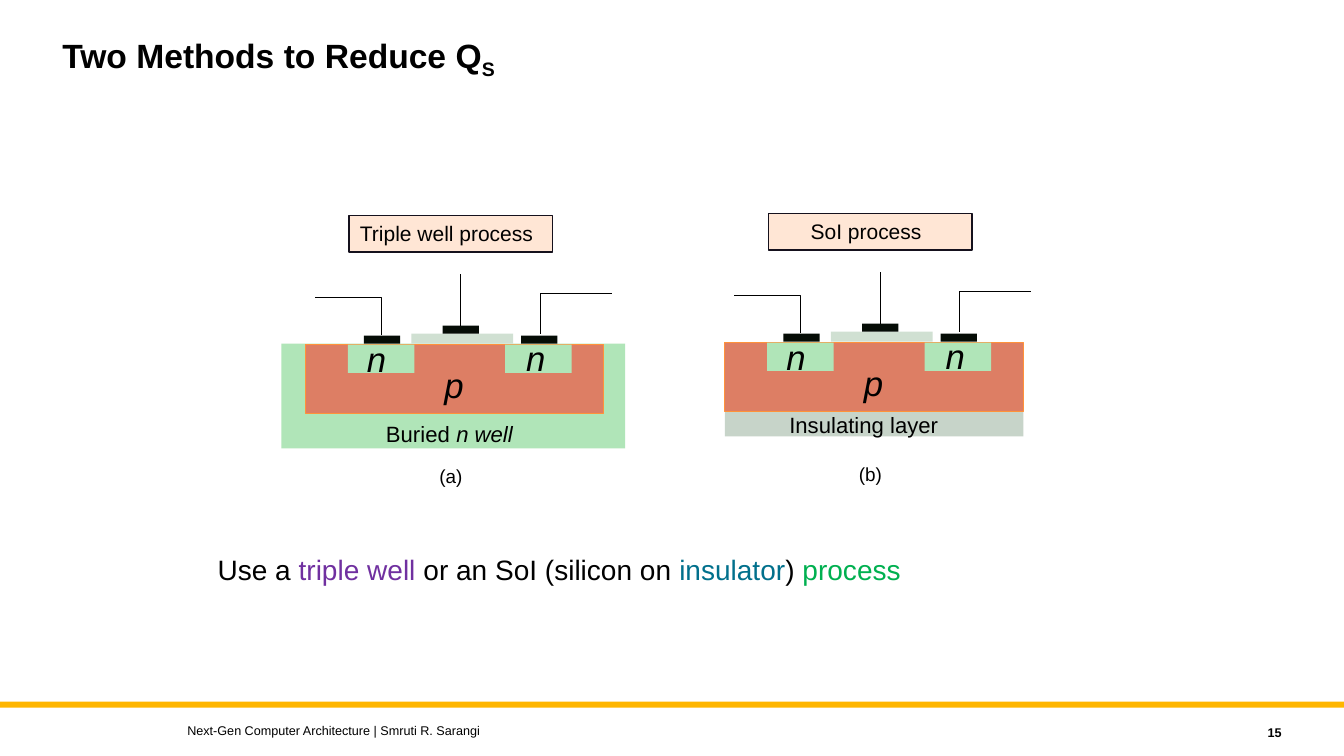
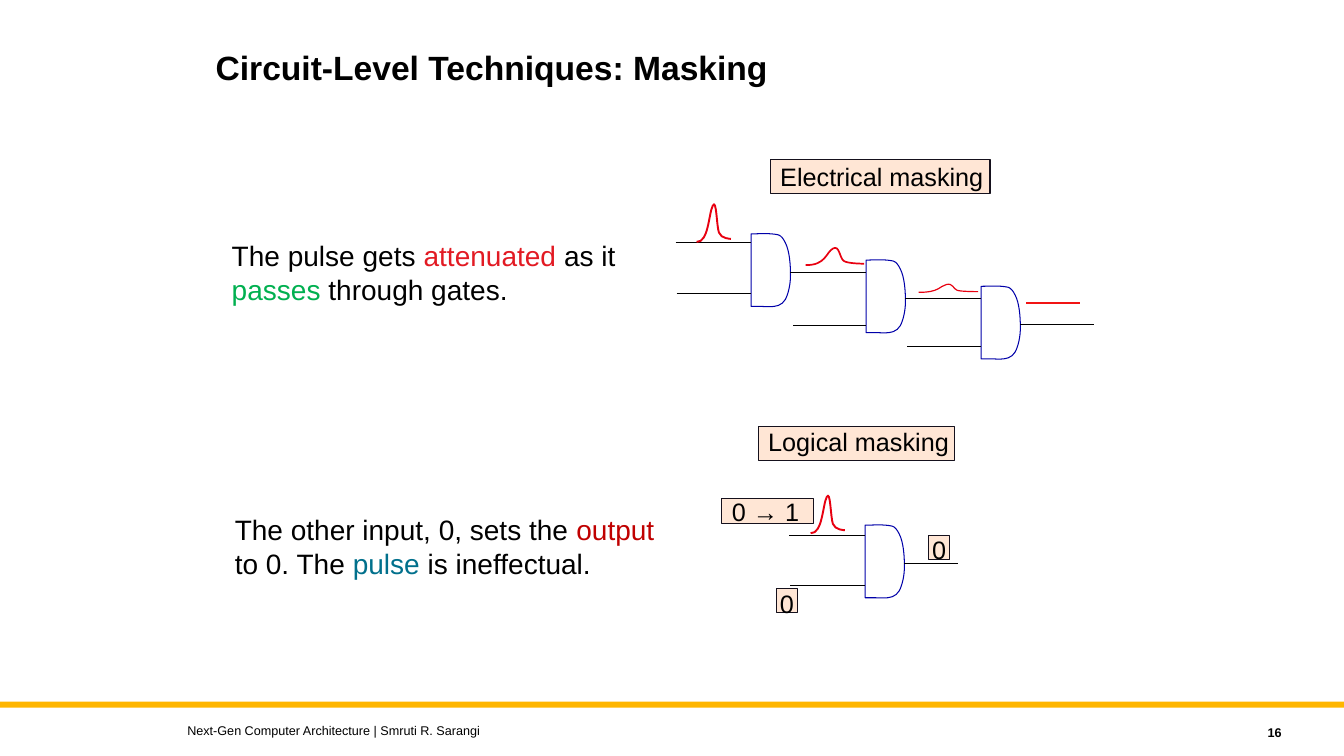
"""Build two slides on reducing critical charge effects and masking pulses in circuits."""
from lxml.etree import SubElement
from pptx import Presentation
from pptx.dml.color import RGBColor
from pptx.enum.shapes import MSO_CONNECTOR as Connector, MSO_SHAPE as Preset
from pptx.enum.text import MSO_ANCHOR as Anchor, MSO_AUTO_SIZE as AutoSize, PP_ALIGN as Align
from pptx.oxml.ns import qn
from pptx.util import Inches, Pt

FONT = "Arial"
WIDTH, HEIGHT = 13.33, 7.5
COLORS = {
    "black": "000000", "band": "FFB600", "label": "FFE6D5", "label_line": "15111D",
    "well": "B0E5B8", "body": "DD7E64", "body_line": "FF923A", "contact": "050C06",
    "oxide": "D0E0D2", "insulator": "C7D4C9", "gate": "0000A9", "pulse": "E80010",
    "flat_pulse": "F11414", "purple": "7030A0", "teal": "01708C", "green": "00B050",
    "red": "E21A23", "dark_red": "C00000",
}
FOOTER = "Next-Gen Computer Architecture | Smruti R. Sarangi"

DEVICES = [
    {"origin": (3.03, 3.41), "label": "Triple well process", "indent": 0.11, "caption": "(a)",
     "layer": (-0.24, 0, 3.41, 1.04), "layer_color": "well",
     "layer_text": ["Buried ", ("n well", {"italic": True})], "layer_text_box": (0.7, 0.71, 1.47, 0.37)},
    {"origin": (7.19, 3.39), "label": "SoI process", "indent": 0.42, "caption": "(b)",
     "layer": (0, 0.69, 2.96, 0.25), "layer_color": "insulator",
     "layer_text": ["Insulating layer"], "layer_text_box": (0.54, 0.64, 1.69, 0.37)},
]
DEVICE_PARTS = [
    ((0.42, 0.01, 0.66, 0.28), "well"), ((1.98, 0.01, 0.66, 0.28), "well"),
    ((0.58, -0.08, 0.36, 0.08), "contact"), ((2.14, -0.08, 0.36, 0.08), "contact"),
    ((1.05, -0.1, 1.01, 0.1), "oxide"),
]
DEVICE_LETTERS = [("n", 0.51, -0.11), ("n", 2.09, -0.12), ("p", 1.28, 0.15)]
DEVICE_WIRES = [
    [(0.75, -0.09), (0.75, -0.46), (0.09, -0.46)],
    [(2.33, -0.1), (2.33, -0.5), (3.04, -0.5)],
]
PROCESS_TEXT = [[
    "Use a ", ("triple well ", {"color": "purple"}), "or an SoI (silicon on ",
    ("insulator", {"color": "teal"}), ") ", ("process", {"color": "green"}),
]]

GATE_CURVE = [
    (0, 0), (0.09, 0), (0.18, -0.01), (0.27, 0.01), (0.3, 0.02), (0.32, 0.05), (0.34, 0.09),
    (0.38, 0.17), (0.39, 0.3), (0.39, 0.41), (0.39, 0.5), (0.37, 0.59), (0.34, 0.65),
    (0.32, 0.68), (0.3, 0.7), (0.27, 0.71), (0.21, 0.73), (0.16, 0.72), (0.1, 0.72),
    (0.07, 0.72), (0.03, 0.72), (0, 0.72),
]
PULSE_CURVE = [
    (0, 1), (0.35, 1.02), (0.35, 0.24), (0.47, 0.03), (0.58, -0.18), (0.58, 0.57),
    (0.65, 0.75), (0.71, 0.92), (1, 0.92), (1, 0.92),
]
GATES = [
    (7.45, 2.32, [(0.09, 0.75), (0.59, 0.74)], 0),
    (8.59, 2.58, [(0.12, 0.75), (0.65, 0.72)], 0),
    (9.73, 2.84, [(0.12, 0.75), (0.6, 0.73)], 0.73),
    (8.58, 5.21, [(0.1, 0.75), (0.6, 0.74)], 0.53),
]
PULSES = [
    (6.91, 2.03, 0.34, 0.37, 1.36), (7.99, 2.46, 0.58, 0.17, 1.22),
    (9.11, 2.82, 0.59, 0.08, 0.84), (8.04, 4.92, 0.34, 0.37, 1.36),
]
FLAT_PULSE = [(10.18, 3.01), (10.71, 3.01)]
MASKING_LABELS = [
    ("Electrical masking", (7.64, 1.58, 2.18, 0.34), 1.02, 0),
    ("Logical masking", (7.52, 4.23, 1.95, 0.34), 0.97, 0.04),
    ("0 → 1", (7.16, 4.95, 0.91, 0.24), 0.77, 0),
]
ZERO_LABELS = [((7.7, 5.84, 0.21, 0.24), 0.54), ((9.21, 5.31, 0.21, 0.24), 0.77)]
MASKING_TEXTS = [
    ((2.2, 2.32, 4.11, 0.77), [
        ["The pulse gets ", ("attenuated", {"color": "red"}), " as it"],
        [("passes", {"color": "green"}), " through gates."],
    ]),
    ((2.23, 5.04, 4.39, 0.77), [
        ["The other input, 0, sets the ", ("output", {"color": "dark_red"})],
        ["to 0. The ", ("pulse", {"color": "teal"}), " is ineffectual."],
    ]),
]


def rgb(name):
    return RGBColor.from_string(COLORS[name])


def shifted(box, origin):
    return (box[0] + origin[0], box[1] + origin[1], *box[2:])


def write_text(frame, paragraphs, size, bold=False, italic=False, align=Align.LEFT, spacing=None):
    for index, runs in enumerate(paragraphs):
        paragraph = frame.add_paragraph() if index else frame.paragraphs[0]
        paragraph.alignment = align
        paragraph.line_spacing = spacing
        for item in runs:
            text, style = (item, {}) if isinstance(item, str) else item
            run = paragraph.add_run()
            run.text = text
            run.font.name, run.font.size = FONT, Pt(size)
            run.font.bold, run.font.italic = bold, style.get("italic", italic)
            run.font.color.rgb = rgb(style.get("color", "black"))
            if "baseline" in style:
                run.font._element.set("baseline", str(style["baseline"] * 1000))


def add_text(slide, box, paragraphs, size, wrap=False, anchor=Anchor.TOP, **style):
    frame = slide.shapes.add_textbox(*map(Inches, box)).text_frame
    frame.word_wrap, frame.vertical_anchor = wrap, anchor
    frame.auto_size = AutoSize.NONE if wrap else AutoSize.SHAPE_TO_FIT_TEXT
    write_text(frame, paragraphs, size, **style)


def paint_line(shape, color, width):
    shape.line.color.rgb = rgb(color)
    shape.line.width = Pt(width)


def add_rectangle(slide, box, fill, line=None, width=1):
    shape = slide.shapes.add_shape(Preset.RECTANGLE, *map(Inches, box))
    shape.shadow.inherit = False
    shape.fill.solid()
    shape.fill.fore_color.rgb = rgb(fill)
    if line:
        paint_line(shape, line, width)
    else:
        shape.line.fill.background()
    return shape


def add_label(slide, box, text, size, width, indent=0.1, top=0, bottom=0, align=Align.LEFT):
    frame = add_rectangle(slide, box, "label", "label_line", width).text_frame
    frame.margin_left, frame.margin_right = Inches(indent), 0
    frame.margin_top, frame.margin_bottom = Inches(top), Inches(bottom)
    frame.word_wrap, frame.vertical_anchor = True, Anchor.MIDDLE
    write_text(frame, [[text]], size, align=align)


def add_line(slide, start, end, color="black", width=0.68):
    line = slide.shapes.add_connector(Connector.STRAIGHT, *map(Inches, (*start, *end)))
    paint_line(line, color, width)
    SubElement(line._element.spPr, qn("a:effectLst"))
    return line


def add_outline(slide, points, color, width, close=False):
    points = [tuple(map(Inches, point)) for point in points]
    builder = slide.shapes.build_freeform(*points[0], scale=1.0)
    builder.add_line_segments(points[1:], close=close)
    shape = builder.convert_to_shape()
    shape.shadow.inherit = False
    shape.fill.background()
    paint_line(shape, color, width)
    return shape


def add_curve(slide, controls, box, color, width, close=False):
    left, top, x_scale, y_scale = box
    points = [(left + x * x_scale, top + y * y_scale) for x, y in controls]
    shape = add_outline(slide, points[::3], color, width, close)
    outline = next(shape._element.iter(qn("a:path")))
    for index, segment in enumerate(outline.findall(qn("a:lnTo"))):
        curve = SubElement(outline, qn("a:cubicBezTo"))
        for x, y in points[3 * index + 1:3 * index + 3]:
            SubElement(curve, qn("a:pt"), x=str(Inches(x) - shape.left), y=str(Inches(y) - shape.top))
        curve.append(segment[0])
        outline.replace(segment, curve)


def add_base_slide(presentation, number, title, title_box):
    slide = presentation.slides.add_slide(presentation.slide_layouts[6])
    add_rectangle(slide, (0, 6.96, WIDTH, 0.06), "band")
    add_text(slide, title_box, [title], 24, wrap=True, bold=True, spacing=0.9)
    add_text(slide, (1.76, 7.12, 8, 0.25), [[FOOTER]], 9, wrap=True, anchor=Anchor.MIDDLE)
    add_text(slide, (11.41, 7.14, 1.4, 0.25), [[str(number)]], 9, wrap=True,
             anchor=Anchor.MIDDLE, bold=True, align=Align.RIGHT)
    return slide


def add_device(slide, device):
    origin = device["origin"]
    add_rectangle(slide, shifted(device["layer"], origin), device["layer_color"])
    add_rectangle(slide, shifted((0, 0.01, 2.96, 0.68), origin), "body", "body_line", 0.65)
    for box, color in DEVICE_PARTS:
        add_rectangle(slide, shifted(box, origin), color)
    gate_contact = add_rectangle(slide, shifted((1.36, -0.18, 0.36, 0.08), origin), "contact")
    gate_wire = add_line(slide, shifted((1.54, -0.18), origin), shifted((1.54, -0.69), origin), width=0.8)
    gate_wire.begin_connect(gate_contact, 0)
    for wire in DEVICE_WIRES:
        add_outline(slide, [shifted(point, origin) for point in wire], "black", 0.8)
    for letter, x, y in DEVICE_LETTERS:
        add_text(slide, shifted((x, y, 0.39, 0.52), origin), [[letter]], 24.8, italic=True)
    add_text(slide, shifted(device["layer_text_box"], origin), [device["layer_text"]], 15.8)
    add_text(slide, shifted((1.23, 1.15, 0.49, 0.33), origin), [[device["caption"]]], 13.5)
    add_label(slide, shifted((0.43, -1.27, 2.02, 0.36), origin), device["label"], 15, 1.13,
              indent=device["indent"], bottom=0.01)


def add_gate(slide, x, y, inputs, output_length):
    add_curve(slide, GATE_CURVE, (x, y, 1, 1), "gate", 0.75, close=True)
    for offset, length in inputs:
        add_line(slide, (x - length, y + offset), (x, y + offset))
    if output_length:
        add_line(slide, (x + 0.39, y + 0.38), (x + 0.39 + output_length, y + 0.38))


def build_process_slide(presentation):
    title = ["Two Methods to Reduce Q", ("S", {"baseline": -25})]
    slide = add_base_slide(presentation, 15, title, (0.52, 0.3, 10, 0.9))
    for device in DEVICES:
        add_device(slide, device)
    add_text(slide, (2.06, 5.43, 7.5, 0.72), PROCESS_TEXT, 20, wrap=True)


def build_masking_slide(presentation):
    title = ["Circuit-Level Techniques: Masking"]
    slide = add_base_slide(presentation, 16, title, (2.04, 0.46, 7.5, 0.9))
    for gate in GATES:
        add_gate(slide, *gate)
    for *box, width in PULSES:
        add_curve(slide, PULSE_CURVE, box, "pulse", width)
    add_line(slide, *FLAT_PULSE, color="flat_pulse", width=1.44)
    for text, box, width, bottom in MASKING_LABELS:
        add_label(slide, box, text, 18, width, bottom=bottom)
    for box, width in ZERO_LABELS:
        add_label(slide, box, "0", 18, width, indent=0, top=0.05, align=Align.CENTER)
    for box, paragraphs in MASKING_TEXTS:
        add_text(slide, box, paragraphs, 20)


def main():
    presentation = Presentation()
    presentation.slide_width, presentation.slide_height = Inches(WIDTH), Inches(HEIGHT)
    build_process_slide(presentation)
    build_masking_slide(presentation)
    presentation.save("out.pptx")


if __name__ == "__main__":
    main()
